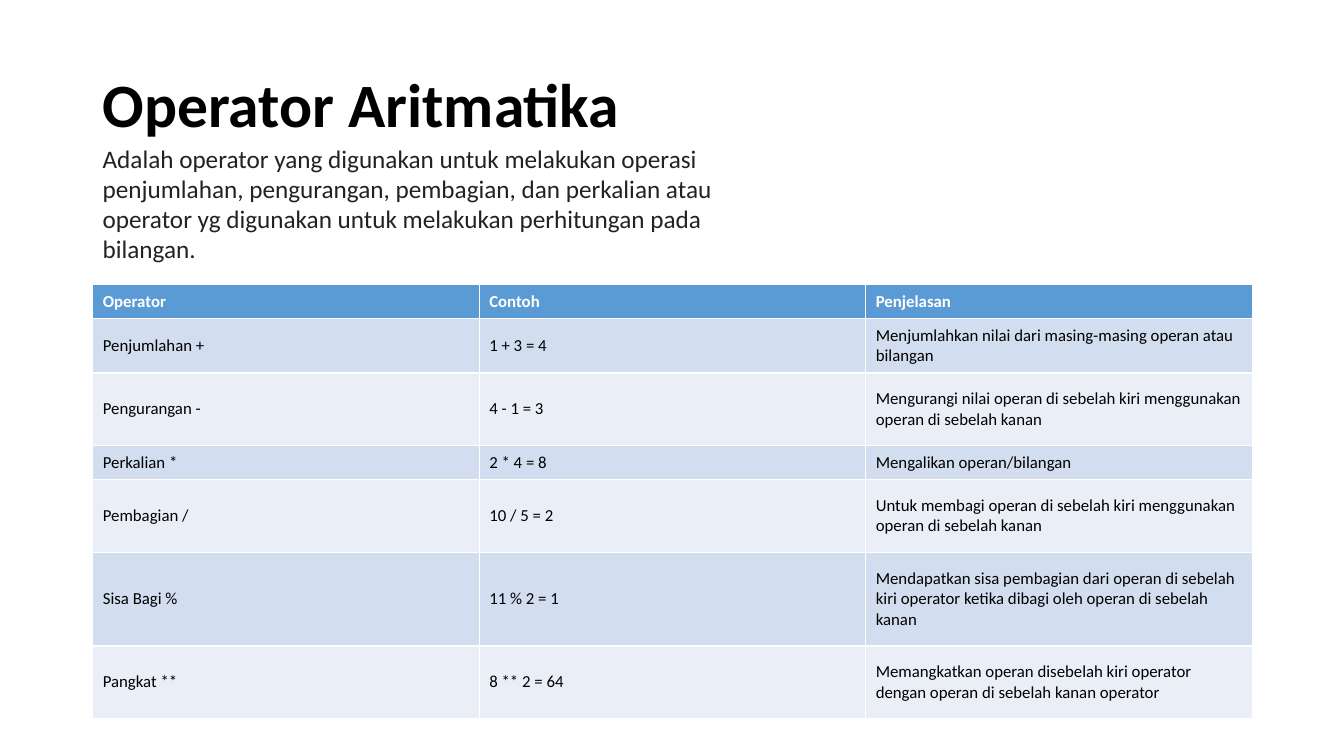
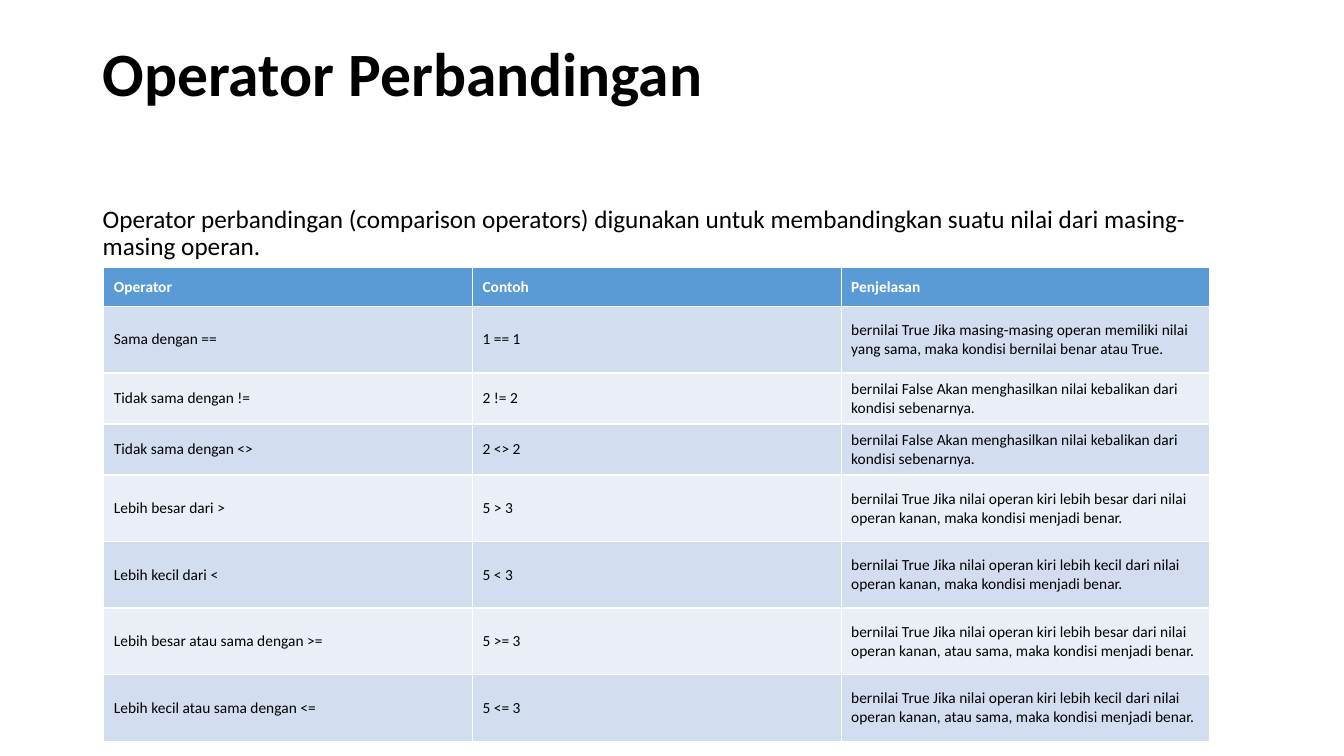
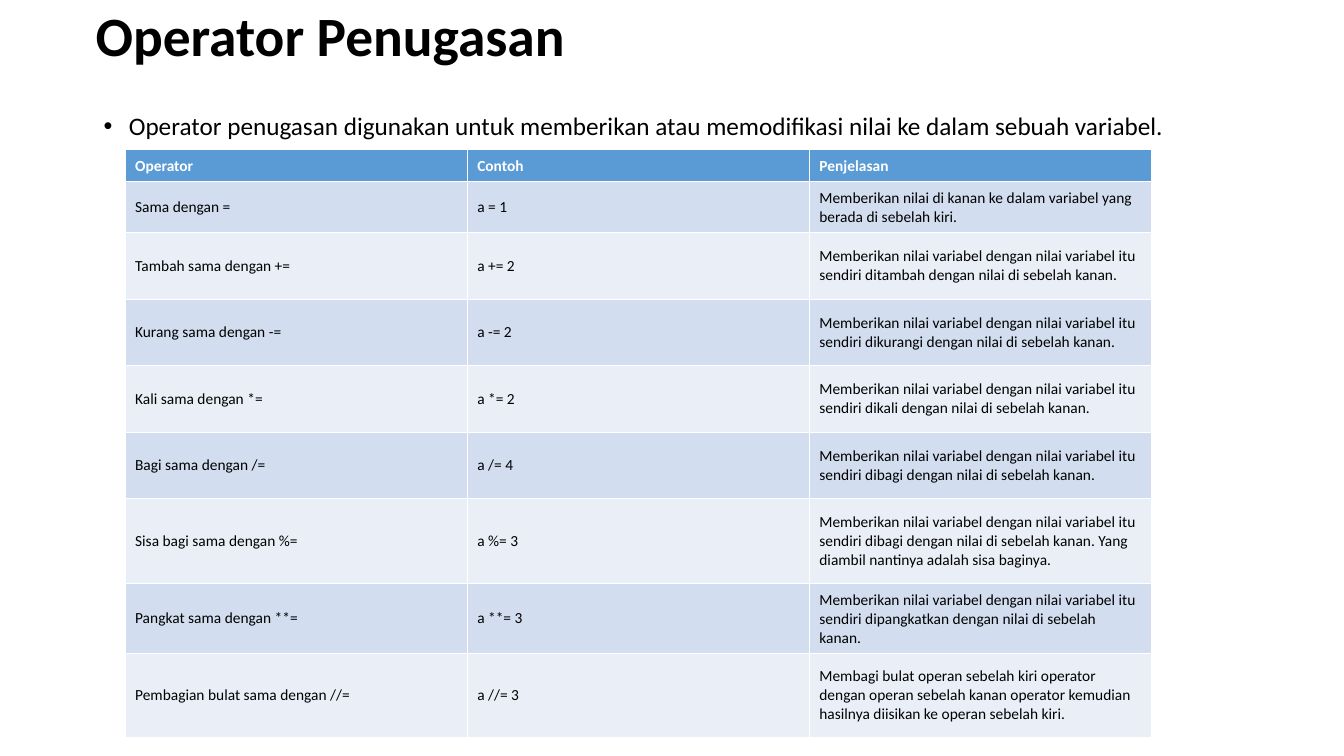
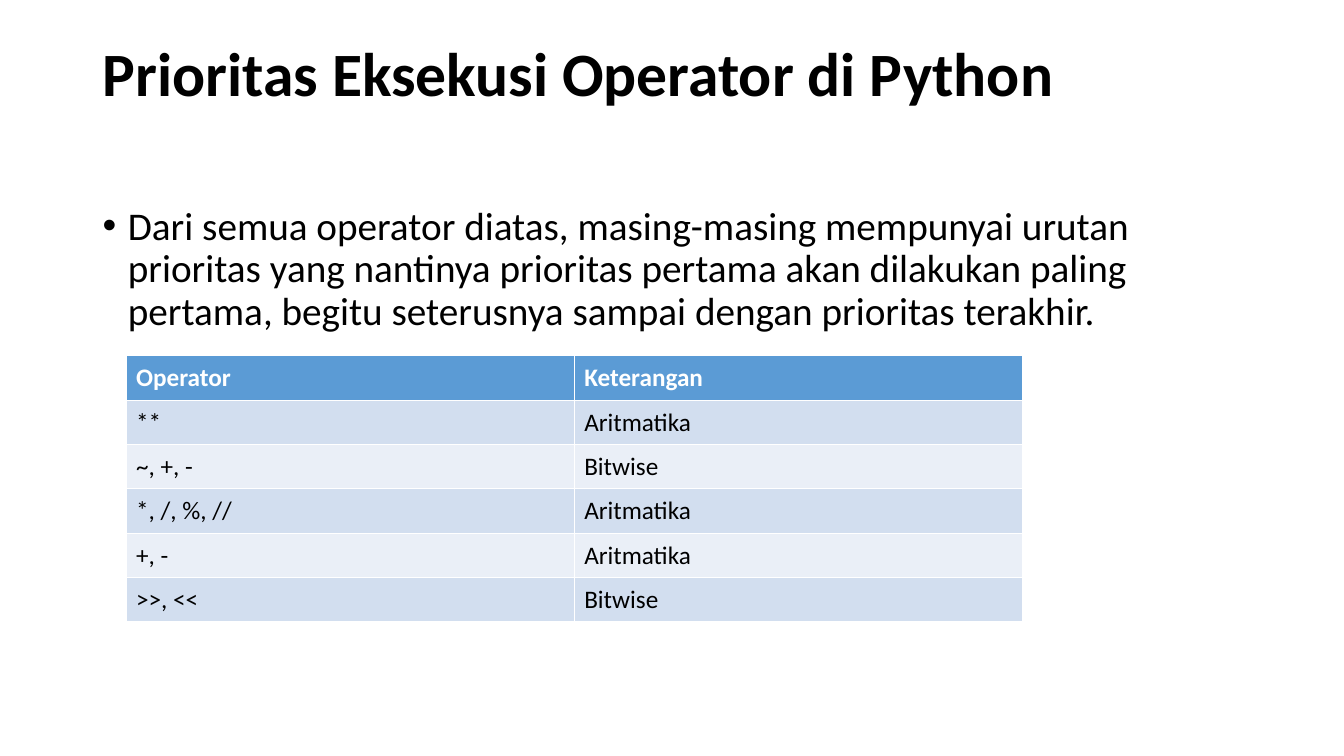
from lxml import etree
from pptx import Presentation
from pptx.dml.color import RGBColor
from pptx.enum.text import MSO_ANCHOR
from pptx.oxml.ns import qn
from pptx.util import Inches, Pt

MID = MSO_ANCHOR.MIDDLE
FONT = "Calibri"
BLACK, WHITE, GREY = "000000", "FFFFFF", "222222"
HEAD, BANDS = "5B9BD5", ("D2DEEF", "EAEFF7")


def style(para, size, color, bold=False):
    for run in para.runs:
        run.font.name = FONT
        run.font.size = Pt(size)
        run.font.bold = bold
        run.font.color.rgb = RGBColor.from_string(color)


def add_text(slide, area, text, size, color=BLACK, bold=False):
    box = slide.shapes.add_textbox(*[Inches(n) for n in area])
    frame = box.text_frame
    frame.word_wrap = True
    frame.text = text
    style(frame.paragraphs[0], size, color, bold)
    return frame


COLS = ("Operator", "Contoh", "Penjelasan")
SLIDES = [
    {
        "title": ("Operator Aritmatika", (0.92, 0.4, 11.5, 1.33), 44, 0.05),
        "body": ("Adalah operator yang digunakan untuk melakukan operasi penjumlahan, pengurangan, pembagian, dan perkalian atau operator yg digunakan untuk melakukan perhitungan pada bilangan.",
                 (0.92, 1.37, 6.67, 1.31), 18, GREY),
        "lines": (1, 0),
        "bullet": False,
        "table": (0.92, 2.82, 11.5),
        "size": 12,
        "heights": (0.3, 0.51, 0.72, 0.3, 0.72, 0.93, 0.72),
        "rows": [
            COLS,
            ("Penjumlahan +", "1 + 3 = 4", "Menjumlahkan nilai dari masing-masing operan atau bilangan"),
            ("Pengurangan -", "4 - 1 = 3", "Mengurangi nilai operan di sebelah kiri menggunakan operan di sebelah kanan"),
            ("Perkalian *", "2 * 4 = 8", "Mengalikan operan/bilangan"),
            ("Pembagian /", "10 / 5 = 2", "Untuk membagi operan di sebelah kiri menggunakan operan di sebelah kanan"),
            ("Sisa Bagi %", "11 % 2 = 1", "Mendapatkan sisa pembagian dari operan di sebelah kiri operator ketika dibagi oleh operan di sebelah kanan"),
            ("Pangkat **", "8 ** 2 = 64", "Memangkatkan operan disebelah kiri operator dengan operan di sebelah kanan operator"),
        ],
    },
    {
        "title": ("Operator Perbandingan", (0.92, 0.4, 11.5, 1.45), 44, 0.79),
        "body": ("Operator perbandingan (comparison operators) digunakan untuk membandingkan suatu nilai dari masing-masing operan.",
                 (0.92, 2, 11.5, 4.76), 18, BLACK),
        "lines": (0.9, 10),
        "bullet": False,
        "table": (1.03, 2.65, 10.97),
        "size": 11,
        "heights": (0.39, 0.66, 0.49, 0.49, 0.66, 0.66, 0.66, 0.66),
        "rows": [
            COLS,
            ("Sama dengan ==", "1 == 1", "bernilai True Jika masing-masing operan memiliki nilai yang sama, maka kondisi bernilai benar atau True."),
            ("Tidak sama dengan !=", "2 != 2", "bernilai False Akan menghasilkan nilai kebalikan dari kondisi sebenarnya."),
            ("Tidak sama dengan <>", "2 <> 2", "bernilai False Akan menghasilkan nilai kebalikan dari kondisi sebenarnya."),
            ("Lebih besar dari >", "5 > 3", "bernilai True Jika nilai operan kiri lebih besar dari nilai operan kanan, maka kondisi menjadi benar."),
            ("Lebih kecil dari <", "5 < 3", "bernilai True Jika nilai operan kiri lebih kecil dari nilai operan kanan, maka kondisi menjadi benar."),
            ("Lebih besar atau sama dengan >=", "5 >= 3", "bernilai True Jika nilai operan kiri lebih besar dari nilai operan kanan, atau sama, maka kondisi menjadi benar."),
            ("Lebih kecil atau sama dengan <=", "5 <= 3", "bernilai True Jika nilai operan kiri lebih kecil dari nilai operan kanan, atau sama, maka kondisi menjadi benar."),
        ],
    },
    {
        "title": ("Operator Penugasan", (0.85, 0.25, 11.5, 0.92), 39.6, 0.71),
        "body": ("Operator penugasan digunakan untuk memberikan atau memodifikasi nilai ke dalam sebuah variabel.",
                 (0.93, 1.08, 11.5, 4.76), 18, BLACK),
        "lines": (0.9, 10),
        "bullet": True,
        "table": (1.24, 1.48, 10.18),
        "size": 11,
        "heights": (0.31, 0.49, 0.66, 0.66, 0.66, 0.66, 0.84, 0.66, 0.84),
        "rows": [
            COLS,
            ("Sama dengan =", "a = 1", "Memberikan nilai di kanan ke dalam variabel yang berada di sebelah kiri."),
            ("Tambah sama dengan +=", "a += 2", "Memberikan nilai variabel dengan nilai variabel itu sendiri ditambah dengan nilai di sebelah kanan."),
            ("Kurang sama dengan -=", "a -= 2", "Memberikan nilai variabel dengan nilai variabel itu sendiri dikurangi dengan nilai di sebelah kanan."),
            ("Kali sama dengan *=", "a *= 2", "Memberikan nilai variabel dengan nilai variabel itu sendiri dikali dengan nilai di sebelah kanan."),
            ("Bagi sama dengan /=", "a /= 4", "Memberikan nilai variabel dengan nilai variabel itu sendiri dibagi dengan nilai di sebelah kanan."),
            ("Sisa bagi sama dengan %=", "a %= 3", "Memberikan nilai variabel dengan nilai variabel itu sendiri dibagi dengan nilai di sebelah kanan. Yang diambil nantinya adalah sisa baginya."),
            ("Pangkat sama dengan **=", "a **= 3", "Memberikan nilai variabel dengan nilai variabel itu sendiri dipangkatkan dengan nilai di sebelah kanan."),
            ("Pembagian bulat sama dengan //=", "a //= 3", "Membagi bulat operan sebelah kiri operator dengan operan sebelah kanan operator kemudian hasilnya diisikan ke operan sebelah kiri."),
        ],
    },
    {
        "title": ("Prioritas Eksekusi Operator di Python", (0.92, 0.4, 11.5, 1.45), 44, 0.79),
        "body": ("Dari semua operator diatas, masing-masing mempunyai urutan prioritas yang nantinya prioritas pertama akan dilakukan paling pertama, begitu seterusnya sampai dengan prioritas terakhir.",
                 (0.92, 2, 11.5, 4.76), 28, BLACK),
        "lines": (0.9, 10),
        "bullet": True,
        "table": (1.25, 3.53, 8.89),
        "size": 18,
        "heights": (0.44,) * 6,
        "rows": [
            ("Operator", "Keterangan"),
            ("**", "Aritmatika"),
            ("~, +, -", "Bitwise"),
            ("*, /, %, //", "Aritmatika"),
            ("+, -", "Aritmatika"),
            (">>, <<", "Bitwise"),
        ],
    },
]

deck = Presentation()
deck.slide_width = Inches(13.33)
deck.slide_height = Inches(7.5)

for page in SLIDES:
    slide = deck.slides.add_slide(deck.slide_layouts[6])

    text, area, size, inset = page["title"]
    frame = add_text(slide, area, text, size, bold=True)
    frame.vertical_anchor = MID
    frame.margin_bottom = Inches(inset)
    frame.paragraphs[0].line_spacing = 0.9

    text, area, size, color = page["body"]
    para = add_text(slide, area, text, size, color).paragraphs[0]
    space, before = page["lines"]
    para.line_spacing = space
    para.space_before = Pt(before)
    if page["bullet"]:
        props = para._p.get_or_add_pPr()
        props.set("marL", str(Inches(0.25)))
        props.set("indent", str(-Inches(0.25)))
        etree.SubElement(props, qn("a:buFont")).set("typeface", "Arial")
        etree.SubElement(props, qn("a:buChar")).set("char", "•")

    rows, tall = page["rows"], page["heights"]
    left, top, width = page["table"]
    table = slide.shapes.add_table(
        len(rows), len(rows[0]), Inches(left), Inches(top),
        Inches(width), Inches(sum(tall))).table
    for r, row in enumerate(rows):
        table.rows[r].height = Inches(tall[r])
        for c, text in enumerate(row):
            cell = table.cell(r, c)
            cell.text = text
            cell.vertical_anchor = MID
            cell.margin_left = cell.margin_right = Inches(0.1)
            cell.margin_top = cell.margin_bottom = Inches(0.07)
            fill = BANDS[(r - 1) % 2] if r else HEAD
            cell.fill.solid()
            cell.fill.fore_color.rgb = RGBColor.from_string(fill)
            style(cell.text_frame.paragraphs[0], page["size"],
                  BLACK if r else WHITE, r == 0)

deck.save("out.pptx")
